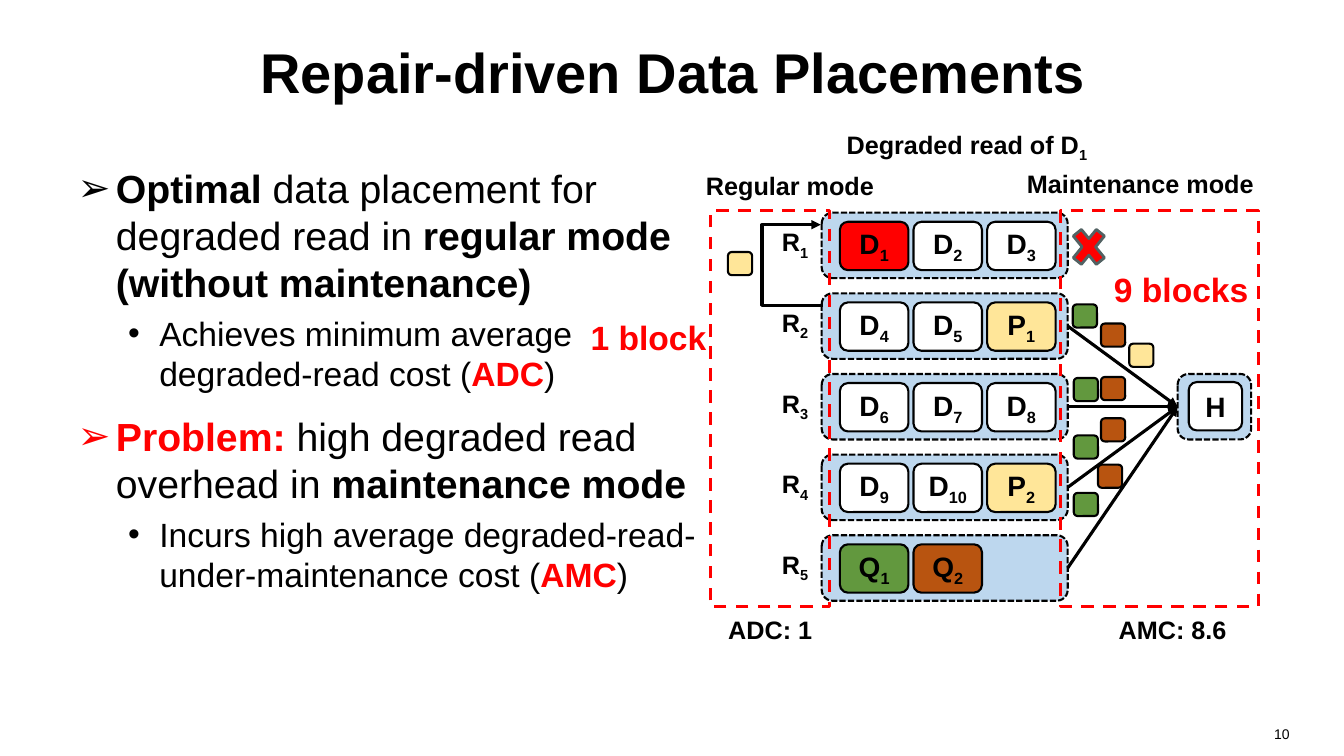
from lxml.etree import SubElement
from pptx import Presentation
from pptx.dml.color import RGBColor
from pptx.enum.dml import MSO_LINE
from pptx.enum.shapes import MSO_CONNECTOR, MSO_SHAPE
from pptx.enum.text import MSO_ANCHOR, MSO_AUTO_SIZE, PP_ALIGN
from pptx.oxml.ns import qn
from pptx.util import Inches, Pt

FONT = "Arial"
BLACK, WHITE, RED = "000000", "FFFFFF", "FF0000"
BLUE, YELLOW, GREEN, BROWN = "BDD7EE", "FFE699", "62983E", "B85410"
RACK_LEFT, RACK_TOP, RACK_PITCH = 8.15, 2.11, 0.8
RACK_WIDTH, RACK_HEIGHT = 2.44, 0.65
BLOCK_PITCH, BLOCK_HEIGHT = 0.73, 0.48

RACKS = [
    [("D_1", RED), ("D_2", WHITE), ("D_3", WHITE)],
    [("D_4", WHITE), ("D_5", WHITE), ("P_1", YELLOW)],
    [("D_6", WHITE), ("D_7", WHITE), ("D_8", WHITE)],
    [("D_9", WHITE), ("D_10", WHITE), ("P_2", YELLOW)],
    [("Q_1", GREEN), ("Q_2", BROWN)],
]

SENT_BLOCKS = [
    (YELLOW, [(7.22, 2.5), (11.2, 3.41)]),
    (GREEN, [(10.64, 3.02), (10.65, 3.75), (10.65, 4.32), (10.65, 4.89)]),
    (BROWN, [(10.92, 3.21), (10.92, 3.74), (10.92, 4.15), (10.89, 4.61)]),
]

POINTS = [
    (0, [("Optimal ", BLACK, True),
         ("data placement for degraded read in ", BLACK, False),
         ("regular mode (without maintenance)", BLACK, True)]),
    (1, [("Achieves minimum average degraded-read cost (", BLACK, False),
         ("ADC", RED, True), (")", BLACK, False)]),
    (0, [("Problem: ", RED, True),
         ("high degraded read overhead in ", BLACK, False),
         ("maintenance mode", BLACK, True)]),
    (1, [("Incurs high average degraded-read-under-maintenance cost (", BLACK, False),
         ("AMC", RED, True), (")", BLACK, False)]),
]

LEVELS = [("➢", 0.38, 0.38, 28, 14), ("•", 0.81, 0.31, 24, 5)]

CAPTIONS = [
    ("Regular mode", 6.86, 1.64, 1.95),
    ("Maintenance mode", 10.02, 1.62, 2.58),
    ("ADC: 1", 6.86, 6.05, 1.56),
    ("AMC: 8.6", 10.85, 6.05, 1.56),
    ("Degraded read of D_1", 8.28, 1.23, 2.62),
]


def rgb(colour):
    """Turn a hex string into a colour."""
    return RGBColor.from_string(colour)


def place(shape, left, top, width, height):
    """Move and size a shape, in inches."""
    shape.left, shape.top = Inches(left), Inches(top)
    shape.width, shape.height = Inches(width), Inches(height)


def style_font(font, size, colour=BLACK, bold=True):
    """Format a font."""
    font.name, font.size, font.bold = FONT, Pt(size), bold
    font.color.rgb = rgb(colour)


def write(frame, text, size, colour=BLACK, bold=True, align=PP_ALIGN.CENTER):
    """Write one paragraph, lowering whatever follows an underscore."""
    paragraph = frame.paragraphs[0]
    paragraph.alignment = align
    style_font(paragraph.font, size, colour, bold)
    base, _, subscript = text.partition("_")
    paragraph.add_run().text = base
    if subscript:
        lowered = paragraph.add_run()
        lowered.text = subscript
        lowered._r.get_or_add_rPr().set("baseline", "-25000")


def add_label(slide, text, left, top, width, height=0.4, size=18, **look):
    """Add a text box with one line of text."""
    label = slide.shapes.add_textbox(
        Inches(left), Inches(top), Inches(width), Inches(height))
    label.text_frame.word_wrap = True
    write(label.text_frame, text, size, **look)


def add_box(slide, left, top, width, height, fill=None, line=BLACK,
            weight=1.5, dash=None, kind=MSO_SHAPE.ROUNDED_RECTANGLE, text=None):
    """Add an outlined shape, filled and labelled if asked."""
    box = slide.shapes.add_shape(
        kind, Inches(left), Inches(top), Inches(width), Inches(height))
    box.shadow.inherit = False
    if fill:
        box.fill.solid()
        box.fill.fore_color.rgb = rgb(fill)
    else:
        box.fill.background()
    box.line.color.rgb = rgb(line)
    box.line.width = Pt(weight)
    if dash:
        box.line.dash_style = dash
    if text:
        box.text_frame.vertical_anchor = MSO_ANCHOR.MIDDLE
        write(box.text_frame, text, 20)
    return box


def add_arrow(slide, start, end, kind=MSO_CONNECTOR.STRAIGHT):
    """Add a black arrow between two points."""
    arrow = slide.shapes.add_connector(kind, *map(Inches, start + end))
    arrow.line.color.rgb = rgb(BLACK)
    arrow.line.width = Pt(2.25)
    SubElement(arrow.line._get_or_add_ln(), qn("a:tailEnd"), type="triangle")
    SubElement(arrow._element.spPr, qn("a:effectLst"))
    return arrow


def add_rack(slide, number, blocks):
    """Add a rack with its blocks and its name."""
    top = RACK_TOP + (number - 1) * RACK_PITCH
    rack = add_box(slide, RACK_LEFT, top, RACK_WIDTH, RACK_HEIGHT, BLUE,
                   dash=MSO_LINE.SQUARE_DOT)
    for column, (name, fill) in enumerate(blocks):
        add_box(slide, 8.33 + column * BLOCK_PITCH, top + 0.09, 0.68,
                BLOCK_HEIGHT, fill, text=name)
    add_label(slide, f"R_{number}", 7.62, top + 0.09, 0.53)
    return rack


def fill_title(title):
    """Place and write the title."""
    place(title, 0.67, 0.08, 12, 1.25)
    title.text_frame.vertical_anchor = MSO_ANCHOR.MIDDLE
    write(title.text_frame, "Repair-driven Data Placements", 40)


def fill_points(body):
    """Place and write the bulleted list."""
    place(body, 0.67, 1.58, 6.55, 5.12)
    frame = body.text_frame
    frame.auto_size = MSO_AUTO_SIZE.NONE
    for index, (level, runs) in enumerate(POINTS):
        point = frame.add_paragraph() if index else frame.paragraphs[0]
        bullet, margin, hanging, size, before = LEVELS[level]
        point.level = level
        point.line_spacing = 1.0
        point.space_before = Pt(before if index else 0)
        properties = point._p.get_or_add_pPr()
        properties.set("marL", str(Inches(margin)))
        properties.set("indent", str(-Inches(hanging)))
        SubElement(properties, qn("a:buFont"), typeface=FONT)
        SubElement(properties, qn("a:buChar"), char=bullet)
        point.font.name, point.font.size = FONT, Pt(size)
        for text, colour, bold in runs:
            run = point.add_run()
            run.text = text
            run.font.bold = bold
            run.font.color.rgb = rgb(colour)


def add_regular_read(slide):
    """Add the arrow from the second rack to the first."""
    route = add_arrow(slide, (8.16, 3.03), (8.14, 2.23), MSO_CONNECTOR.ELBOW)
    guides = route._element.spPr.find(qn("a:prstGeom")).get_or_add_avLst()
    SubElement(guides, qn("a:gd"), name="adj1", fmla="val 3000000")


def add_maintenance_read(slide, racks):
    """Add the host and the arrows reaching it from the racks."""
    host = add_box(slide, 11.68, 3.71, 0.73, RACK_HEIGHT, BLUE,
                   dash=MSO_LINE.SQUARE_DOT)
    add_box(slide, 11.79, 3.79, 0.53, BLOCK_HEIGHT, WHITE, text="H")
    for rack in racks:
        arrow = add_arrow(slide, (10.59, 4.03), (11.68, 4.03))
        arrow.begin_connect(rack, 3)
        arrow.end_connect(host, 1)


def main():
    """Build the slide and save it."""
    deck = Presentation()
    deck.slide_width, deck.slide_height = Inches(13.33), Inches(7.5)
    slide = deck.slides.add_slide(deck.slide_layouts[1])
    fill_title(slide.shapes.title)
    fill_points(slide.placeholders[1])
    add_label(slide, "10", 9.78, 7.15, 3.11, 0.35, 10, bold=False, align=PP_ALIGN.RIGHT)
    for cost, left, top, width in [("1 block", 5.76, 3.09, 1.4), ("9 blocks", 10.95, 2.62, 1.9)]:
        add_label(slide, cost, left, top, width, 0.5, 24, colour=RED, align=PP_ALIGN.LEFT)
    racks = [add_rack(slide, number, blocks)
             for number, blocks in enumerate(RACKS, 1)]
    add_box(slide, 10.58, 2.18, 0.44, 0.54, RED, "526263", 2, kind=MSO_SHAPE.MATH_MULTIPLY)
    add_regular_read(slide)
    add_maintenance_read(slide, racks[1:])
    for fill, corners in SENT_BLOCKS:
        for left, top in corners:
            add_box(slide, left, top, 0.24, 0.23, fill)
    for left, width in [(7.05, 1.18), (10.52, 1.96)]:
        add_box(slide, left, 2.09, width, 3.93, line=RED, weight=2.25,
                dash=MSO_LINE.DASH, kind=MSO_SHAPE.RECTANGLE)
    for caption in CAPTIONS:
        add_label(slide, *caption)
    deck.save("out.pptx")


if __name__ == "__main__":
    main()
